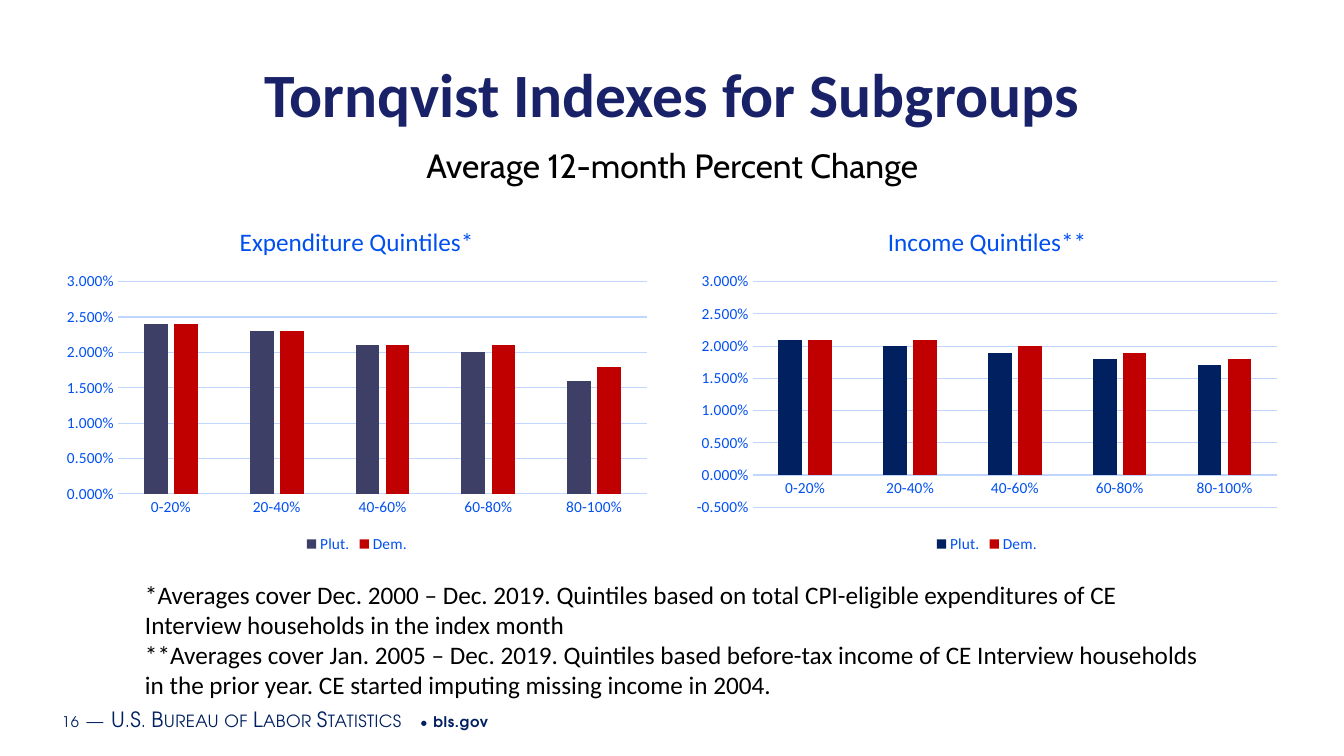
from dataclasses import dataclass

from lxml import etree
from pptx import Presentation
from pptx.chart.data import CategoryChartData
from pptx.dml.color import RGBColor
from pptx.enum.chart import XL_CHART_TYPE, XL_LEGEND_POSITION, XL_TICK_MARK
from pptx.enum.text import MSO_ANCHOR, PP_ALIGN
from pptx.oxml.ns import qn
from pptx.util import Pt

COLUMN = XL_CHART_TYPE.COLUMN_CLUSTERED
BOTTOM = XL_LEGEND_POSITION.BOTTOM
NO_TICK = XL_TICK_MARK.NONE
LEFT, CENTER = PP_ALIGN.LEFT, PP_ALIGN.CENTER
TOP, MIDDLE = MSO_ANCHOR.TOP, MSO_ANCHOR.MIDDLE


@dataclass(frozen=True)
class Theme:
    body: str = "Calibri"
    lead: str = "Cabin"
    foot: str = "TeX Gyre Adventor"
    title: str = "192168"
    ink: str = "000000"
    navy: str = "002060"
    slate: str = "3E3F67"
    red: str = "C00000"
    blue: str = "0050F1"
    grid: str = "C1D6FF"
    title_pt: float = 44
    lead_pt: float = 24
    note_pt: float = 18
    head_pt: float = 18
    chart_pt: float = 10
    axis_pt: float = 11
    foot_pt: float = 10.5
    caps_pt: float = 15
    gap_pt: float = 16


THEME = Theme()
WIDE, HIGH = 432, 250.6  # size of each chart
GROUPS = ["0-20%", "20-40%", "40-60%", "60-80%", "80-100%"]
NOTES = [
    "*Averages cover Dec. 2000 – Dec. 2019. Quintiles based on total "
    "CPI-eligible expenditures of CE Interview households in the index month",
    "**Averages cover Jan. 2005 – Dec. 2019. Quintiles based before-tax income "
    "of CE Interview households in the prior year. CE started imputing missing "
    "income in 2004.",
]
# Footer runs: text, size, letter spacing, small caps, bold
FOOTER = [
    ("16", THEME.foot_pt, 50, False, False),
    (" ", THEME.gap_pt, 50, False, False),
    ("—", THEME.caps_pt, 30, True, False),
    (" ", THEME.gap_pt, 50, False, False),
    ("U.S. Bureau of Labor Statistics", THEME.caps_pt, 30, True, False),
    (" • ", THEME.foot_pt, 50, False, False),
    ("bls.gov", THEME.foot_pt, 50, False, True),
]


def style(font, name, size, color, bold=False):
    font.name, font.bold = name, bold
    font.color.rgb = RGBColor.from_string(color)
    if size:
        font.size = Pt(size)


def add_box(slide, box, anchor=TOP):
    frame = slide.shapes.add_textbox(*map(Pt, box)).text_frame
    frame.word_wrap = True
    frame.vertical_anchor = anchor
    return frame


def add_text(slide, box, lines, name, size, color,
             align=LEFT, bold=False, anchor=TOP):
    frame = add_box(slide, box, anchor)
    frame.text = "\n".join(lines)
    for para in frame.paragraphs:
        para.alignment = align
        style(para.font, name, size, color, bold)


def add_footer(slide, box):
    frame = add_box(slide, box, MIDDLE)
    frame.margin_left = frame.margin_right = Pt(5)
    frame.margin_top = frame.margin_bottom = Pt(3)
    para = frame.paragraphs[0]
    style(para.font, THEME.foot, None, THEME.navy)
    for text, size, space, caps, bold in FOOTER:
        run = para.add_run()
        run.text = text
        run.font.size, run.font.bold = Pt(size), bold
        props = run.font._element
        props.set("spc", str(space))
        if caps:
            props.set("cap", "small")


def set_layout(part, place):
    """Fix left, top and, if given, width and height of a chart part."""
    layout = part.find(qn("c:layout"))
    if layout is None:
        layout = etree.Element(qn("c:layout"))
        text = part.find(qn("c:tx"))
        part.insert(0 if text is None else 1, layout)
    manual = etree.SubElement(layout, qn("c:manualLayout"))
    if len(place) == 4:
        etree.SubElement(manual, qn("c:layoutTarget")).set("val", "inner")
    for mode in ("xMode", "yMode"):
        etree.SubElement(manual, qn(f"c:{mode}")).set("val", "edge")
    for key, value, full in zip("xywh", place, (WIDE, HIGH) * 2):
        etree.SubElement(manual, qn(f"c:{key}")).set("val", str(value / full))


def set_axis(axis, line):
    axis.major_tick_mark = axis.minor_tick_mark = NO_TICK
    style(axis.tick_labels.font, THEME.body, THEME.axis_pt, THEME.blue)
    line.color.rgb = RGBColor.from_string(THEME.grid)
    line.width = Pt(0.75)


def add_chart(slide, left, head, series, low, head_at, plot_at):
    data = CategoryChartData(number_format="0.000%")
    data.categories = GROUPS
    for name, values, _ in series:
        data.add_series(name, values)
    box = map(Pt, (left, 147.6, WIDE, HIGH))
    chart = slide.shapes.add_chart(COLUMN, *box, data).chart
    style(chart.font, THEME.body, THEME.chart_pt, THEME.navy)

    # Title and legend
    chart.has_title = True
    chart.chart_title.include_in_layout = False
    frame = chart.chart_title.text_frame
    frame.text = head
    style(frame.paragraphs[0].font, THEME.body, THEME.head_pt, THEME.blue)
    set_layout(chart.chart_title._element, head_at)
    chart.has_legend = True
    chart.legend.position = BOTTOM
    chart.legend.include_in_layout = False
    style(chart.legend.font, THEME.body, THEME.axis_pt, THEME.blue)

    # Axes
    set_axis(chart.category_axis, chart.category_axis.format.line)
    scale = chart.value_axis
    set_axis(scale, scale.major_gridlines.format.line)
    scale.format.line.fill.background()
    scale.minimum_scale, scale.maximum_scale = low, 0.03
    scale.major_unit = 0.005
    scale.tick_labels.number_format = "0.000%"
    scale.tick_labels.number_format_is_linked = False

    # Columns
    plot = chart.plots[0]
    plot.gap_width, plot.overlap = 219, -27
    plot.vary_by_categories = False
    for bars, (_, _, color) in zip(plot.series, series):
        bars.format.fill.solid()
        bars.format.fill.fore_color.rgb = RGBColor.from_string(color)
    set_layout(chart._chartSpace.chart.plotArea, plot_at)


def main():
    deck = Presentation()
    deck.slide_width, deck.slide_height = Pt(960), Pt(540)
    slide = deck.slides.add_slide(deck.slide_layouts[6])

    # Footer and headings
    add_footer(slide, (39.3, 499, 610, 29))
    add_text(slide, (39, 34.6, 882, 63), ["Tornqvist Indexes for Subgroups"],
             THEME.body, THEME.title_pt, THEME.title, CENTER, True, MIDDLE)
    add_text(slide, (96.5, 100, 767.5, 36), ["Average 12-month Percent Change"],
             THEME.lead, THEME.lead_pt, THEME.ink, CENTER)

    # Notes
    add_text(slide, (96.5, 409.9, 767.5, 94.3), NOTES,
             THEME.body, THEME.note_pt, THEME.ink)

    # Charts
    add_chart(slide, 39, "Expenditure Quintiles*", [
        ("Plut.", (0.024, 0.023, 0.021, 0.02, 0.016), THEME.slate),
        ("Dem.", (0.024, 0.023, 0.021, 0.021, 0.018), THEME.red),
    ], 0, (129, 9.4), (45.3, 53.6, 378, 151.6))
    add_chart(slide, 489, "Income Quintiles**", [
        ("Plut.", (0.021, 0.02, 0.019, 0.018, 0.017), THEME.navy),
        ("Dem.", (0.021, 0.021, 0.02, 0.019, 0.018), THEME.red),
    ], -0.005, (142, 9.4), (48.7, 53.6, 374.6, 161.2))

    deck.save("out.pptx")


if __name__ == "__main__":
    main()
